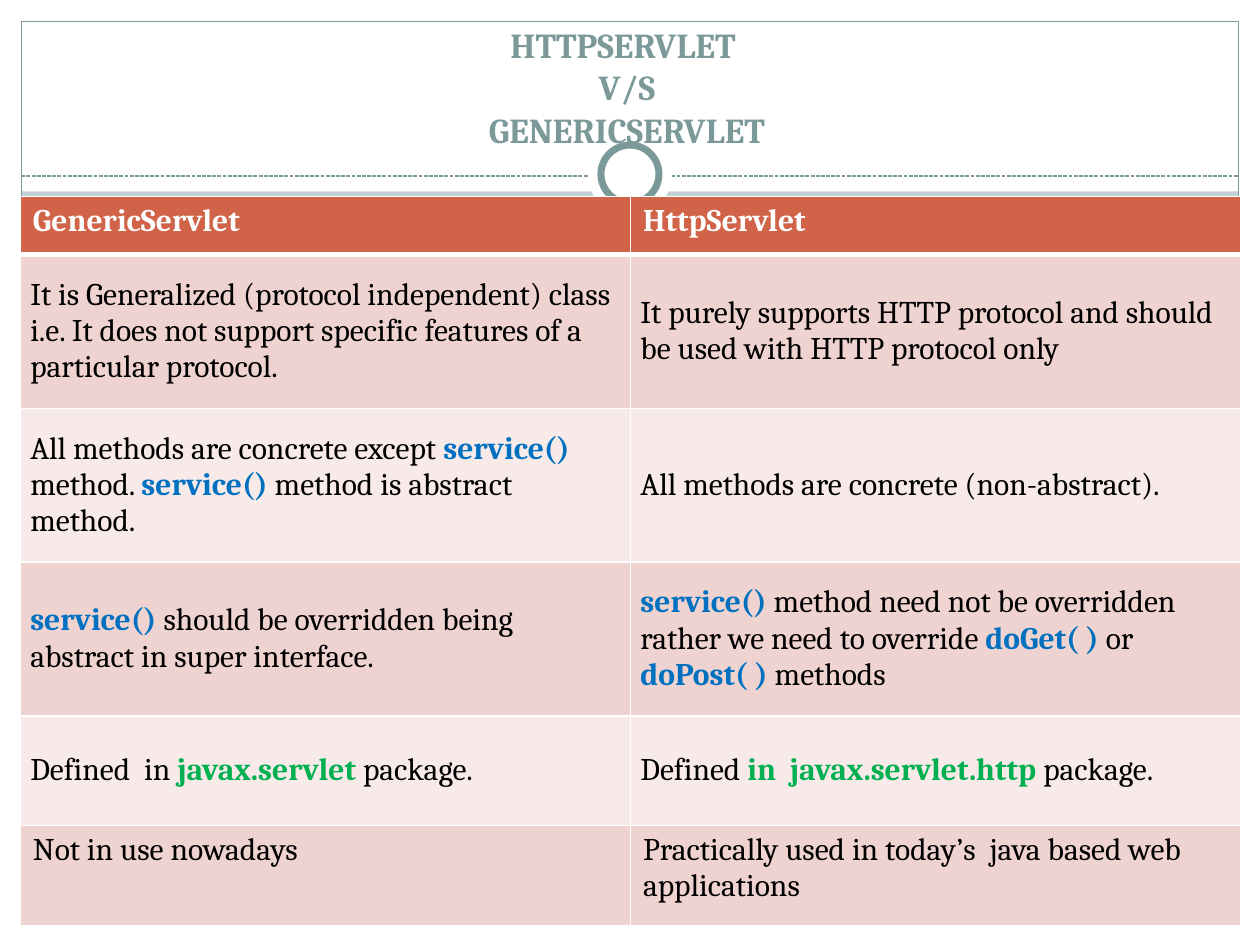
from lxml.etree import SubElement
from pptx import Presentation
from pptx.dml.color import RGBColor
from pptx.enum.dml import MSO_LINE
from pptx.enum.shapes import MSO_CONNECTOR, MSO_SHAPE
from pptx.enum.text import MSO_ANCHOR, PP_ALIGN
from pptx.oxml.ns import qn
from pptx.util import Cm, Pt

WIDE, HIGH, EDGE = 25.4, 19.05, 0.43
FONT = "Cambria"
WHITE, BLACK, TEAL, BLUE, GREEN = "FFFFFF", "000000", "7C999A", "0070C0", "00B050"
HEAD, DARK, LIGHT = "D16349", "EED3D0", "F7EAE9"
TITLE = ["HTTPSERVLET ", "V/S", "GENERICSERVLET"]
MASKS = [
    (0, HIGH - EDGE, WIDE, EDGE, WHITE),
    (0, 0, WIDE, 3.86, WHITE),
    (0, 0, EDGE, HIGH, WHITE),
    (WIDE - EDGE, 0, EDGE, HIGH, WHITE),
    (0.41, 17.75, 24.54, 0.86, "8CADAE"),
]
CALL = ("service() ", BLUE)
ROWS = [
    (1.17, [("GenericServlet", WHITE)], [("HttpServlet", WHITE)]),
    (3.1,
     [("It is Generalized (protocol independent) class i.e. It does not support "
       "specific features of a particular protocol.", BLACK)],
     [("It purely supports HTTP protocol and should be used with HTTP protocol only", BLACK)]),
    (3.1,
     [("All methods are concrete except ", BLACK), CALL, ("method. ", BLACK), CALL,
      ("method is abstract method.", BLACK)],
     [("All methods are concrete (non-abstract).", BLACK)]),
    (3.1,
     [CALL, ("should be overridden being abstract in super interface.", BLACK)],
     [CALL, ("method need not be overridden rather we need to override ", BLACK),
      ("doGet( ) ", BLUE), ("or ", BLACK), ("doPost( ) ", BLUE), ("methods", BLACK)]),
    (2.21,
     [("Defined  in ", BLACK), ("javax.servlet ", GREEN), ("package.", BLACK)],
     [("Defined ", BLACK), ("in  javax.servlet.http ", GREEN), ("package.", BLACK)]),
    (2.03,
     [("Not in use nowadays", BLACK)],
     [("Practically used in today’s  java based web applications", BLACK)]),
]


def tint(code):
    return RGBColor.from_string(code)


def draw(slide, kind, box, fill=None, line=None, width=0.75):
    shape = slide.shapes.add_shape(kind, *map(Cm, box))
    shape.shadow.inherit = False
    if fill:
        shape.fill.solid()
        shape.fill.fore_color.rgb = tint(fill)
    else:
        shape.fill.background()
    if line:
        shape.line.color.rgb = tint(line)
        shape.line.width = Pt(width)
    else:
        shape.line.fill.background()


def write(para, text, color, size):
    run = para.add_run()
    run.text = text
    run.font.name = FONT
    run.font.size = Pt(size)
    run.font.bold = color != BLACK
    run.font.color.rgb = tint(color)


def rule(cell, row):
    props = cell._tc.get_or_add_tcPr()
    for side in "LRTB":
        thick = (row, side) in ((0, "B"), (1, "T"))
        line = SubElement(props, qn("a:ln" + side), w=str(Pt(3 if thick else 1)))
        SubElement(SubElement(line, qn("a:solidFill")), qn("a:srgbClr"), val=WHITE)


def frame(slide):
    for *box, fill in MASKS:
        draw(slide, MSO_SHAPE.RECTANGLE, box, fill)
    draw(slide, MSO_SHAPE.RECTANGLE,
         (EDGE, EDGE, WIDE - 2 * EDGE, HIGH - 2 * EDGE), line=TEAL)
    dash = slide.shapes.add_connector(
        MSO_CONNECTOR.STRAIGHT, Cm(EDGE), Cm(3.55), Cm(WIDE - EDGE), Cm(3.55))
    dash.line.color.rgb = tint(TEAL)
    dash.line.width = Pt(0.75)
    dash.line.dash_style = MSO_LINE.SQUARE_DOT
    SubElement(dash._element.spPr, qn("a:effectLst"))
    for size, line in ((1.7, None), (1.17, TEAL)):
        box = (WIDE / 2 - size / 2, 3.51 - size / 2, size, size)
        draw(slide, MSO_SHAPE.OVAL, box, WHITE, line, 4)


def head(slide):
    box = slide.shapes.add_textbox(Cm(0.79), Cm(0.41), Cm(23.7), Cm(2.74))
    text = box.text_frame
    text.word_wrap = True
    text.vertical_anchor = MSO_ANCHOR.BOTTOM
    para = text.paragraphs[0]
    para.alignment = PP_ALIGN.CENTER
    for num, part in enumerate(TITLE):
        if num:
            para.add_line_break()
        write(para, part, TEAL, 20)


def grid(slide):
    total = sum(row[0] for row in ROWS)
    table = slide.shapes.add_table(
        len(ROWS), 2, Cm(0.41), Cm(3.96), Cm(24.6), Cm(total)).table
    for num, (tall, *cells) in enumerate(ROWS):
        table.rows[num].height = Cm(tall)
        for col, runs in enumerate(cells):
            cell = table.cell(num, col)
            rule(cell, num)
            cell.fill.solid()
            cell.fill.fore_color.rgb = tint(HEAD if num == 0 else DARK if num % 2 else LIGHT)
            if 0 < num < len(ROWS) - 1:
                cell.vertical_anchor = MSO_ANCHOR.MIDDLE
                cell.margin_left = cell.margin_right = Cm(0.2)
                cell.margin_top = cell.margin_bottom = Cm(0.2)
            for text, color in runs:
                write(cell.text_frame.paragraphs[0], text, color, 18)


def main():
    """Build the servlet comparison slide."""
    deck = Presentation()
    deck.slide_width, deck.slide_height = Cm(WIDE), Cm(HIGH)
    slide = deck.slides.add_slide(deck.slide_layouts[6])
    slide.background.fill.solid()
    slide.background.fill.fore_color.rgb = tint("C5D1D7")
    frame(slide)
    head(slide)
    grid(slide)
    deck.save("out.pptx")


if __name__ == "__main__":
    main()
